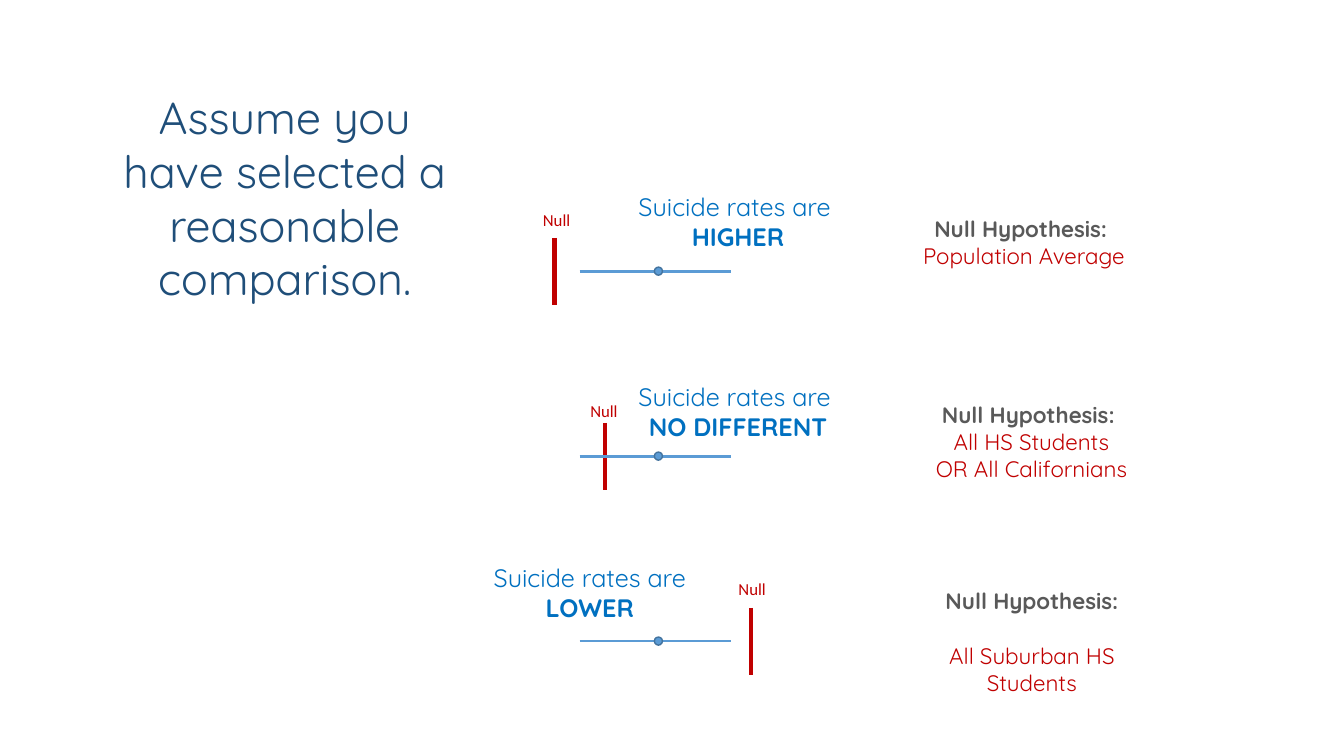
from pptx import Presentation
from pptx.dml.color import RGBColor
from pptx.enum.shapes import MSO_CONNECTOR, MSO_SHAPE
from pptx.enum.text import MSO_ANCHOR, MSO_AUTO_SIZE, PP_ALIGN
from pptx.oxml.ns import qn
from pptx.util import Inches, Pt
from lxml import etree

STRAIGHT = MSO_CONNECTOR.STRAIGHT
ELLIPSE = MSO_SHAPE.OVAL
CENTER = PP_ALIGN.CENTER
TOP = MSO_ANCHOR.TOP
FIT_SHAPE = MSO_AUTO_SIZE.SHAPE_TO_FIT_TEXT

NAVY = RGBColor(0x1F, 0x4E, 0x79)
BLUE = RGBColor(0x00, 0x70, 0xC0)
SKY = RGBColor(0x5B, 0x9B, 0xD5)
STEEL = RGBColor(0x43, 0x73, 0x9E)
RED = RGBColor(0xC0, 0x00, 0x00)
GRAY = RGBColor(0x59, 0x59, 0x59)

FIRST_Y, PITCH = 2.69, 1.835
INTERVAL_LEFT, INTERVAL_RIGHT, ESTIMATE_X = 5.75, 7.25, 6.53
DOT = 0.08

ROWS = [
    dict(null_x=5.5, null_at=(5.28, 2.03), verdict_at=(5.85, 1.85),
         lead="Suicide rates are ", verdict="HIGHER",
         hypothesis_at=(8.96, 2.09, 2.39, 0.64), label="Null Hypothesis: ",
         groups=["Population Average"], gap=0),
    dict(null_x=6, null_at=(5.75, 3.93), verdict_at=(5.85, 3.73),
         lead="Suicide rates are ", verdict="NO DIFFERENT",
         hypothesis_at=(9.14, 3.93, 2.18, 0.91), label="Null Hypothesis: ",
         groups=["All HS Students", "OR All Californians"], gap=0),
    dict(null_x=7.45, null_at=(7.22, 5.69), verdict_at=(4.38, 5.53),
         lead="Suicide rates are", verdict="LOWER",
         hypothesis_at=(9.25, 5.78, 1.97, 0.91), label="Null Hypothesis:",
         groups=["All Suburban HS", "Students"], gap=20),
]


def add_run(p, text, size, color, bold=False, font="Quicksand"):
    """Append a formatted run to a paragraph."""
    r = p.add_run()
    r.text = text
    r.font.name, r.font.size, r.font.bold = font, Pt(size), bold
    r.font.color.rgb = color


def add_box(s, left, top, width, height, wrap=False):
    """Add a text box and return its text frame with a centred paragraph."""
    tf = s.shapes.add_textbox(Inches(left), Inches(top),
                              Inches(width), Inches(height)).text_frame
    tf.word_wrap = wrap
    tf.auto_size = FIT_SHAPE
    tf.paragraphs[0].alignment = CENTER
    return tf


def add_line(s, x1, y1, x2, y2, color, width):
    """Add a straight line without a shadow."""
    line = s.shapes.add_connector(STRAIGHT, Inches(x1), Inches(y1),
                                  Inches(x2), Inches(y2))
    line.line.color.rgb = color
    line.line.width = Pt(width)
    etree.SubElement(line._element.spPr, qn("a:effectLst"))


def add_estimate(s, y):
    """Add the confidence interval with its point estimate."""
    add_line(s, INTERVAL_LEFT, y, INTERVAL_RIGHT, y, SKY, 2)
    dot = s.shapes.add_shape(ELLIPSE, Inches(ESTIMATE_X - DOT / 2),
                             Inches(y - DOT / 2), Inches(DOT), Inches(DOT))
    dot.shadow.inherit = False
    dot.fill.solid()
    dot.fill.fore_color.rgb = SKY
    dot.line.color.rgb = STEEL
    dot.line.width = Pt(1)


def add_verdict(s, at, lead, verdict):
    """Add the two-line conclusion above an interval."""
    p = add_box(s, *at, 2.94, 0.71, wrap=True).paragraphs[0]
    add_run(p, lead, 18, BLUE)
    p.add_line_break()
    add_run(p, verdict, 18, BLUE, bold=True)


def add_hypothesis(s, at, label, groups, gap):
    """Add the null hypothesis label and its comparison groups."""
    tf = add_box(s, *at)
    add_run(tf.paragraphs[0], label, 16, GRAY, bold=True)
    for i, group in enumerate(groups):
        p = tf.add_paragraph()
        p.alignment = CENTER
        p.space_before = Pt(0 if i else gap)
        add_run(p, group, 16, RED)


def add_title(s, text):
    """Place and format the title placeholder."""
    title = s.shapes.title
    title.left, title.top = Inches(1), Inches(0.84)
    title.width, title.height = Inches(3.65), Inches(2.26)
    tf = title.text_frame
    tf.word_wrap = True
    tf.auto_size = FIT_SHAPE
    tf.vertical_anchor = TOP
    p = tf.paragraphs[0]
    p.alignment = CENTER
    add_run(p, text, 32, NAVY)


def main():
    """Build the slide and save it."""
    prs = Presentation()
    prs.slide_width, prs.slide_height = Inches(13.33), Inches(7.5)
    s = prs.slides.add_slide(prs.slide_layouts[5])
    add_title(s, "Assume you have selected a reasonable comparison.")
    for i, row in enumerate(ROWS):
        y = FIRST_Y + i * PITCH
        add_line(s, row["null_x"], y - 0.33, row["null_x"], y + 0.34, RED, 3)
        add_estimate(s, y)
        null = add_box(s, *row["null_at"], 0.48, 0.3)
        add_run(null.paragraphs[0], "Null", 12, RED, font="Calibri")
        add_verdict(s, row["verdict_at"], row["lead"], row["verdict"])
        add_hypothesis(s, row["hypothesis_at"], row["label"],
                       row["groups"], row["gap"])
    prs.save("out.pptx")


if __name__ == "__main__":
    main()
